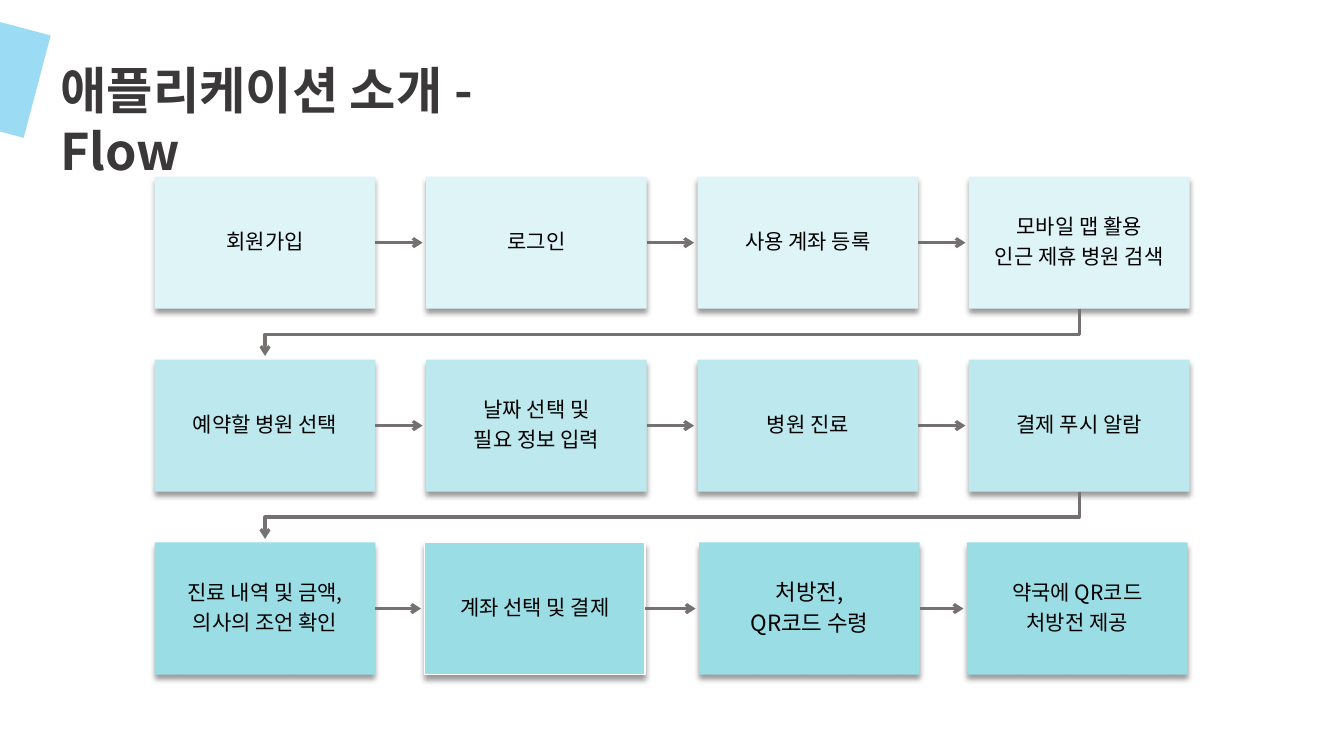
from lxml import etree
from pptx import Presentation
from pptx.dml.color import RGBColor
from pptx.enum.shapes import MSO_CONNECTOR, MSO_SHAPE
from pptx.enum.text import MSO_ANCHOR, PP_ALIGN
from pptx.oxml import parse_xml
from pptx.oxml.ns import nsdecls, qn
from pptx.util import Cm, Pt

RECTANGLE = MSO_SHAPE.RECTANGLE
STRAIGHT = MSO_CONNECTOR.STRAIGHT
MIDDLE = MSO_ANCHOR.MIDDLE
CENTER = PP_ALIGN.CENTER
RIGHT_SIDE = 3

FONT = "Noto Sans CJK KR"
ARROW_COLOR = "767171"
STEP_WIDTH, STEP_HEIGHT = Cm(5.56), Cm(3.33)
FIRST_LEFT, FIRST_TOP = Cm(3.9), Cm(4.45)
COLUMN_PITCH, ROW_PITCH = Cm(6.84), Cm(4.61)
ARROW_GAP = Cm(0.09)
TURN_DROP = Cm(0.64)

STEP_FRAME = {
    "word_wrap": True,
    "vertical_anchor": MIDDLE,
    "margin_left": Cm(0.3),
    "margin_right": Cm(0.3),
    "margin_top": Cm(0.3),
    "margin_bottom": Cm(0.3),
}
STEP_PARAGRAPH = {"alignment": CENTER, "line_spacing": 0.9, "space_after": Pt(5)}

STAGES = [
    ("DEF4F6", ["회원가입", "로그인", "사용 계좌 등록", "모바일 맵 활용\n인근 제휴 병원 검색"]),
    ("BDE8ED", ["예약할 병원 선택", "날짜 선택 및\n필요 정보 입력", "병원 진료", "결제 푸시 알람"]),
    ("9BDDE5", ["진료 내역 및 금액,\n의사의 조언 확인", "계좌 선택 및 결제",
                "처방전,\nQR코드 수령", "약국에 QR코드\n처방전 제공"]),
]
LAST_STAGE_SHIFTS = [Cm(0), Cm(-0.04), Cm(0.04), Cm(-0.05)]
OUTLINED_STEP = (2, 1)
LARGE_STEP = (2, 2)


def color(hex_value):
    """Return the colour for a hex string."""
    return RGBColor.from_string(hex_value)


def apply(target, values):
    """Set every attribute of the format dict on the target."""
    for name, value in values.items():
        setattr(target, name, value)


def write(frame, text, size, hex_value, bold=False, paragraph_format=None):
    """Write the lines of text as paragraphs in one font."""
    frame.text = text
    for paragraph in frame.paragraphs:
        apply(paragraph, paragraph_format or {})
        for run in paragraph.runs:
            run.font.color.rgb = color(hex_value)
            apply(run.font, {"name": FONT, "size": Pt(size), "bold": bold})
            etree.SubElement(run.font._element, qn("a:ea"), typeface=FONT)


def add_block(slide, left, top, width, height, fill):
    """Add a plain filled rectangle without line or shadow."""
    block = slide.shapes.add_shape(RECTANGLE, left, top, width, height)
    block.shadow.inherit = False
    block.fill.solid()
    block.fill.fore_color.rgb = color(fill)
    block.line.fill.background()
    return block


def cast_shadow(block):
    """Give the block a soft shadow below."""
    properties = block._element.spPr
    properties.remove(properties.find(qn("a:effectLst")))
    properties.append(parse_xml(
        f'<a:effectLst {nsdecls("a")}>'
        '<a:outerShdw blurRad="50800" dist="38100" dir="5400000" algn="t" rotWithShape="0">'
        '<a:srgbClr val="000000"><a:alpha val="40000"/></a:srgbClr>'
        '</a:outerShdw></a:effectLst>'))


def add_step(slide, row, column, fill, text):
    """Add one step of the flow at its place in the grid."""
    shift = LAST_STAGE_SHIFTS[column] if row == len(STAGES) - 1 else 0
    step = add_block(slide, FIRST_LEFT + column * COLUMN_PITCH + shift,
                     FIRST_TOP + row * ROW_PITCH, STEP_WIDTH, STEP_HEIGHT, fill)
    cast_shadow(step)
    if (row, column) == OUTLINED_STEP:
        step.line.color.rgb = color("FFFFFF")
        step.line.width = Pt(1)
    apply(step.text_frame, STEP_FRAME)
    size = 16 if (row, column) == LARGE_STEP else 15
    write(step.text_frame, text, size, "000000", paragraph_format=STEP_PARAGRAPH)
    return step


def style_arrow(arrow):
    """Draw the line in grey with an arrowhead and no shadow."""
    arrow.line.color.rgb = color(ARROW_COLOR)
    arrow.line.width = Pt(2.25)
    properties = arrow._element.spPr
    etree.SubElement(properties.find(qn("a:ln")), qn("a:tailEnd"), type="arrow")
    etree.SubElement(properties, qn("a:effectLst"))


def add_next_arrow(slide, step, following):
    """Lead from a step to the one on its right."""
    middle = step.top + step.height // 2
    arrow = slide.shapes.add_connector(
        STRAIGHT, step.left + step.width, middle, following.left - ARROW_GAP, middle)
    arrow.begin_connect(step, RIGHT_SIDE)
    style_arrow(arrow)


def add_turn_arrow(slide, step, following):
    """Lead from the end of a row to the start of the next one."""
    start_x = step.left + step.width // 2
    end_x = following.left + following.width // 2
    bottom = step.top + step.height
    turn = bottom + TURN_DROP
    builder = slide.shapes.build_freeform(start_x, bottom)
    builder.add_line_segments(
        [(start_x, turn), (end_x, turn), (end_x, following.top - ARROW_GAP)], close=False)
    arrow = builder.convert_to_shape()
    arrow.fill.background()
    style_arrow(arrow)


def add_title(slide, text):
    """Add the heading and the tilted tag beside it."""
    tag = add_block(slide, Cm(-0.91), Cm(0.61), Cm(1.88), Cm(2.67), "9BDBF4")
    tag.rotation = 14.8
    title = slide.shapes.add_textbox(Cm(1.27), Cm(1.37), Cm(14.12), Cm(1.8))
    title.text_frame.word_wrap = True
    write(title.text_frame, text, 36, "3A3838", bold=True)


def main():
    """Build the application flow slide."""
    presentation = Presentation()
    apply(presentation, {"slide_width": Cm(33.87), "slide_height": Cm(19.05)})
    slide = presentation.slides.add_slide(presentation.slide_layouts[6])
    flow = [[add_step(slide, row, column, fill, text) for column, text in enumerate(texts)]
            for row, (fill, texts) in enumerate(STAGES)]
    for stage in flow:
        for step, following in zip(stage, stage[1:]):
            add_next_arrow(slide, step, following)
    for stage, next_stage in zip(flow, flow[1:]):
        add_turn_arrow(slide, stage[-1], next_stage[0])
    add_title(slide, "애플리케이션 소개 - Flow")
    presentation.save("out.pptx")


if __name__ == "__main__":
    main()
